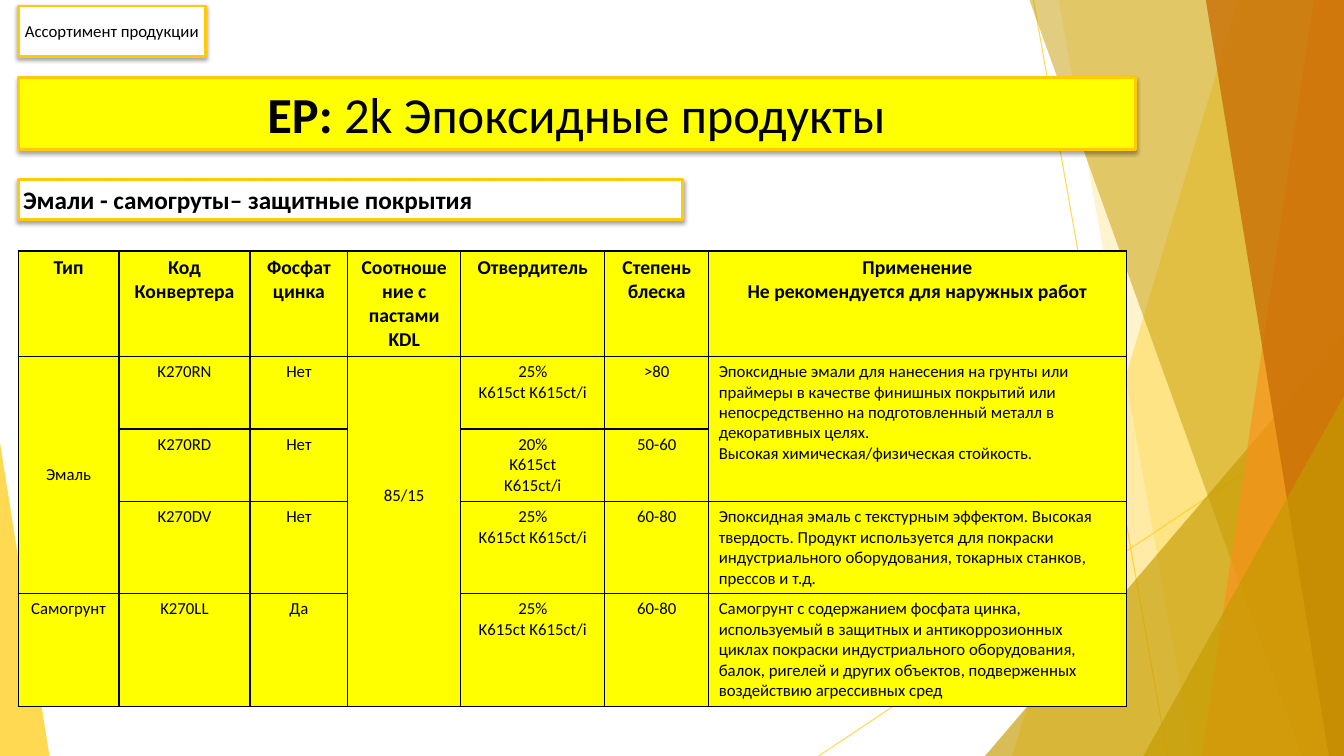
from lxml import etree
from pptx import Presentation
from pptx.dml.color import RGBColor
from pptx.enum.shapes import MSO_CONNECTOR, MSO_SHAPE
from pptx.enum.text import MSO_ANCHOR, PP_ALIGN
from pptx.oxml.ns import qn
from pptx.util import Inches, Pt

LEFT, CENTER = PP_ALIGN.LEFT, PP_ALIGN.CENTER
TOP, MIDDLE = MSO_ANCHOR.TOP, MSO_ANCHOR.MIDDLE
RECTANGLE, TRIANGLE = MSO_SHAPE.RECTANGLE, MSO_SHAPE.ISOSCELES_TRIANGLE
STRAIGHT = MSO_CONNECTOR.STRAIGHT
WIDTH, HEIGHT = 13.33, 7.5
TITLE_ONLY = 5

GOLD, DARK_GOLD, ORANGE, BROWN = "FFCA08", "C59B00", "F8931D", "CA6F06"
YELLOW, WHITE, BLACK = "FFFF00", "FFFFFF", "000000"


def color(value):
    return RGBColor.from_string(value)


def add_xml(parent, tag, **attributes):
    return etree.SubElement(parent, qn(tag), attributes)


class SlideBuilder:
    font = "Calibri"
    margin = Inches(0.05)

    def __init__(self, deck):
        self.page = deck.slides.add_slide(deck.slide_layouts[TITLE_ONLY])
        self.shapes = self.page.shapes

    def set_alpha(self, parent, percent):
        for node in parent.iter(qn("a:srgbClr")):
            add_xml(node, "a:alpha", val=str(percent * 1000))

    def facet(self, shape, fill, alpha):
        """Make a shape a translucent, borderless background facet."""
        shape.shadow.inherit = False
        shape.fill.solid()
        shape.fill.fore_color.rgb = color(fill)
        shape.line.fill.background()
        self.set_alpha(shape._element.spPr, alpha)

    def polygon(self, points, fill, alpha):
        corners = [(Inches(x), Inches(y)) for x, y in points]
        builder = self.shapes.build_freeform(*corners[0])
        builder.add_line_segments(corners[1:], close=True)
        self.facet(builder.convert_to_shape(), fill, alpha)

    def triangle(self, left, top, width, apex, fill, alpha):
        shape = self.shapes.add_shape(
            TRIANGLE, Inches(left), Inches(top), Inches(width), Inches(HEIGHT - top))
        shape.adjustments[0] = apex
        self.facet(shape, fill, alpha)

    def line(self, x1, y1, x2, y2):
        line = self.shapes.add_connector(
            STRAIGHT, Inches(x1), Inches(y1), Inches(x2), Inches(y2))
        line.line.color.rgb = color(GOLD)
        line.line.width = Pt(0.75)
        properties = line._element.spPr
        self.set_alpha(properties, 70)
        add_xml(properties, "a:effectLst")

    def format_paragraph(self, para, size, align, bold=None):
        para.alignment = align
        para.font.name = self.font
        para.font.size = Pt(size)
        para.font.color.rgb = color(BLACK)
        para.font.bold = bold

    def frame(self, box, spans, fill, size, align):
        """Give a box its gold border, soft shadow and (text, bold) spans."""
        box.fill.solid()
        box.fill.fore_color.rgb = color(fill)
        box.line.color.rgb = color(GOLD)
        box.line.width = Pt(2)
        effects = add_xml(box._element.spPr, "a:effectLst")
        shadow = add_xml(effects, "a:outerShdw", blurRad=str(Pt(3)),
                         dist=str(Pt(1.8)), dir="5400000", rotWithShape="0")
        add_xml(shadow, "a:srgbClr", val=BLACK)
        self.set_alpha(shadow, 35)
        text = box.text_frame
        text.word_wrap = True
        text.vertical_anchor = MIDDLE
        text.margin_left = text.margin_right = self.margin
        text.margin_top = text.margin_bottom = self.margin
        para = text.paragraphs[0]
        self.format_paragraph(para, size, align)
        for words, bold in spans:
            span = para.add_run()
            span.text = words
            span.font.bold = bold

    def title(self, left, top, width, height, spans):
        box = self.shapes.title
        box.left, box.top = Inches(left), Inches(top)
        box.width, box.height = Inches(width), Inches(height)
        self.frame(box, spans, YELLOW, 36, CENTER)
        # Bring the title in front of the background
        self.shapes._spTree.append(box._element)

    def label(self, left, top, width, height, words, size, align, bold):
        box = self.shapes.add_shape(
            RECTANGLE, Inches(left), Inches(top), Inches(width), Inches(height))
        self.frame(box, [(words, bold)], WHITE, size, align)

    def cell(self, cell, words, size, align, bold):
        properties = cell._tc.get_or_add_tcPr()
        for side in ("a:lnL", "a:lnR", "a:lnT", "a:lnB"):
            border = add_xml(properties, side, w=str(Pt(1)))
            add_xml(add_xml(border, "a:solidFill"), "a:srgbClr", val=BLACK)
        cell.fill.solid()
        cell.fill.fore_color.rgb = color(YELLOW)
        cell.vertical_anchor = TOP
        cell.text = words
        for para in cell.text_frame.paragraphs:
            self.format_paragraph(para, size, align, bold)

    def table(self, left, top, columns, heights, rows, merges):
        table = self.shapes.add_table(
            len(heights), len(columns), Inches(left), Inches(top),
            Inches(sum(columns)), Inches(sum(heights))).table
        table.first_row = table.horz_banding = False
        for column, width in zip(table.columns, columns):
            column.width = Inches(width)
        for row, height in zip(table.rows, heights):
            row.height = Inches(height)
        for r, row in enumerate(rows):
            for c, words in enumerate(row):
                header = r == 0
                align = CENTER if header or c < len(columns) - 1 else LEFT
                self.cell(table.cell(r, c), words, 14 if header else 12, align, header)
        for column, first, last in merges:
            table.cell(first, column).merge(table.cell(last, column))
        return table


def main():
    deck = Presentation()
    deck.slide_width, deck.slide_height = Inches(WIDTH), Inches(HEIGHT)
    slide = SlideBuilder(deck)

    # Background facets: top-left and bottom-left x of bands reaching the right edge
    slide.line(10.25, 0, 11.58, HEIGHT)
    slide.line(WIDTH, 4.03, 8.12, HEIGHT)

    def band(top_x, bottom_x, fill, alpha):
        slide.polygon([(top_x, 0), (WIDTH, 0), (WIDTH, HEIGHT), (bottom_x, HEIGHT)],
                      fill, alpha)

    band(12.28, 10.04, GOLD, 36)
    band(10.5, 11.83, GOLD, 20)
    slide.triangle(9.77, 3.33, 3.56, 1, DARK_GOLD, 66)
    band(10.21, 12.91, DARK_GOLD, 50)
    band(13.03, 11.92, ORANGE, 70)
    band(11.96, 13.18, BROWN, 80)
    slide.triangle(11.34, 3.93, 1.99, 1, DARK_GOLD, 66)
    slide.triangle(0, 4.39, 0.49, 0, GOLD, 70)

    # Headings
    left = 0.18
    slide.title(left, 0.77, 11.08, 0.71,
                [("EP: ", True), ("2k Эпоксидные продукты", False)])
    slide.label(left, 0.06, 1.86, 0.5, "Ассортимент продукции", 12, CENTER, False)

    # Product table
    hardener = "25%\nK615ct K615ct/i"
    rows = [
        ["Тип", "Код\nКонвертера", "Фосфат цинка", "Соотношение с пастами KDL",
         "Отвердитель", "Степень блеска",
         "Применение\nНе рекомендуется для наружных работ"],
        ["Эмаль", "K270RN", "Нет", "85/15", hardener, ">80",
         "Эпоксидные эмали для нанесения на грунты или праймеры в качестве "
         "финишных покрытий или непосредственно на подготовленный металл в "
         "декоративных целях.\nВысокая химическая/физическая стойкость."],
        ["", "K270RD", "Нет", "", "20%\nK615ct\nK615ct/i", "50-60", ""],
        ["", "K270DV", "Нет", "", hardener, "60-80",
         "Эпоксидная эмаль с текстурным эффектом. Высокая твердость. Продукт "
         "используется для покраски индустриального оборудования, токарных "
         "станков, прессов и т.д."],
        ["Самогрунт", "K270LL", "Да", "", hardener, "60-80",
         "Самогрунт с содержанием фосфата цинка, используемый в защитных и "
         "антикоррозионных циклах покраски индустриального оборудования, балок, "
         "ригелей и других объектов, подверженных воздействию агрессивных сред"],
    ]
    kind, ratio, usage = 0, 3, 6
    table = slide.table(left, 2.49, [1, 1.3, 0.97, 1.12, 1.43, 1.03, 4.14],
                        [1.03, 0.72, 0.72, 0.9, 1.1], rows,
                        [(kind, 1, 3), (ratio, 1, 4), (usage, 1, 2)])
    for column in (kind, ratio):
        table.cell(1, column).vertical_anchor = MIDDLE
    table.cell(1, ratio).margin_bottom = Inches(0.75)

    # Section heading
    slide.label(left, 1.78, 6.59, 0.4, "Эмали - самогруты– защитные покрытия",
                18, LEFT, True)

    deck.save("out.pptx")


if __name__ == "__main__":
    main()
